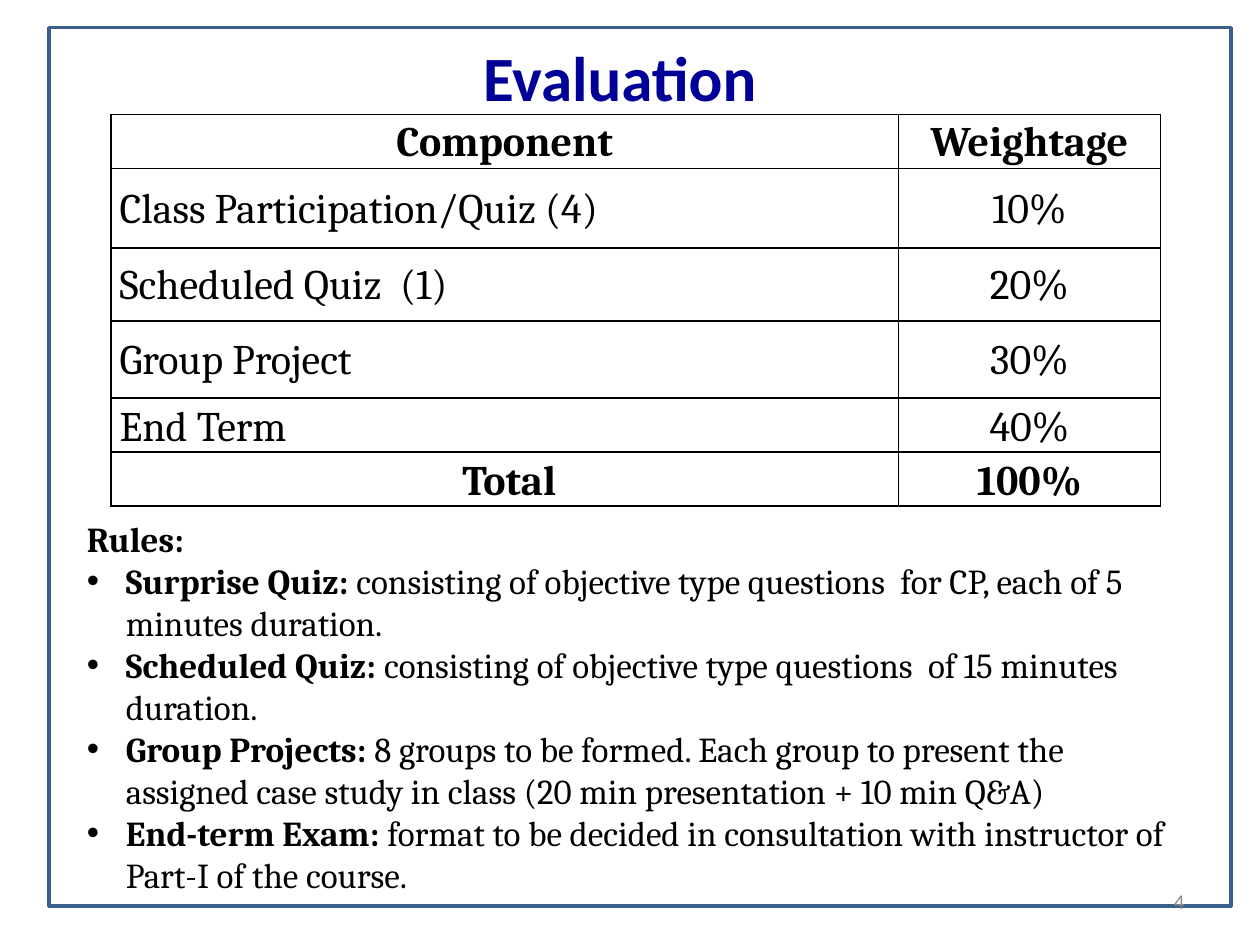
from pptx import Presentation
from pptx.dml.color import RGBColor as RGB
from pptx.enum.shapes import MSO_SHAPE as SHAPE
from pptx.enum.text import MSO_ANCHOR as ANCHOR, MSO_AUTO_SIZE as AUTO, PP_ALIGN as ALIGN
from pptx.oxml.ns import qn
from pptx.util import Inches, Pt
from lxml.etree import SubElement

COLORS = {"frame": "3A5F8C", "title": "000099", "text": "000000", "number": "8C8C8C"}
HEADING, BODY = "Calibri", "Cambria"
COLUMNS = [6.25, 2.08]
ROWS = [
    (0.41, ANCHOR.MIDDLE, "Component", "Weightage"),
    (0.63, ANCHOR.MIDDLE, "Class Participation/Quiz (4)", "10%"),
    (0.58, ANCHOR.MIDDLE, "Scheduled Quiz  (1)", "20%"),
    (0.61, ANCHOR.MIDDLE, "Group Project", "30%"),
    (0.41, ANCHOR.BOTTOM, "End Term", "40%"),
    (0.41, ANCHOR.BOTTOM, "\u00a0Total".replace("\u00a0", " "), "100%"),
]
RULES = [
    ("Surprise Quiz: ", "consisting of objective type questions  for CP, each of 5 minutes duration."),
    ("Scheduled Quiz: ", "consisting of objective type questions  of 15 minutes duration."),
    ("Group Projects: ", "8 groups to be formed. Each group to present the assigned case study "
     "in class (20 min presentation + 10 min Q&A)"),
    ("End-term Exam: ", "format to be decided in consultation with instructor of Part-I of the course."),
]


class SlideBuilder:
    """Holds the style and the current slide, and adds each kind of element."""

    def __init__(self, slide, colors):
        self.s = slide
        self.colors = colors

    def color(self, name):
        return RGB.from_string(self.colors[name])

    def run(self, p, text, size, font=BODY, color="text", bold=False):
        r = p.add_run()
        r.text = text
        for key, value in {"size": Pt(size), "name": font, "bold": bold}.items():
            setattr(r.font, key, value)
        r.font.color.rgb = self.color(color)

    def frame(self, box, color, width):
        sp = self.s.shapes.add_shape(SHAPE.RECTANGLE, *map(Inches, box))
        sp.shadow.inherit = False
        sp.fill.background()
        sp.line.color.rgb = self.color(color)
        sp.line.width = Pt(width)

    def text_box(self, box, **fmt):
        tf = self.s.shapes.add_textbox(*map(Inches, box)).text_frame
        for key, value in {"word_wrap": True, **fmt}.items():
            setattr(tf, key, value)
        return tf

    def label(self, box, text, align, **style):
        p = self.text_box(box, vertical_anchor=ANCHOR.MIDDLE).paragraphs[0]
        p.alignment = align
        self.run(p, text, **style)

    def rules(self, box, heading, rules, size):
        tf = self.text_box(box, auto_size=AUTO.SHAPE_TO_FIT_TEXT)
        self.run(tf.paragraphs[0], heading, size, bold=True)
        for name, detail in rules:
            p = tf.add_paragraph()
            self.bullet(p, 0.31)
            self.run(p, name, size, bold=True)
            self.run(p, detail, size)

    def bullet(self, p, indent):
        pPr = p._p.get_or_add_pPr()
        pPr.set("marL", str(Inches(indent)))
        pPr.set("indent", str(-Inches(indent)))
        SubElement(pPr, qn("a:buFont"), typeface="Arial")
        SubElement(pPr, qn("a:buChar"), char="•")

    def borders(self, cell, color, width):
        tcPr = cell._tc.get_or_add_tcPr()
        for i, side in enumerate(("lnL", "lnR", "lnT", "lnB")):
            ln = tcPr.makeelement(qn(f"a:{side}"), {"w": str(Pt(width))})
            fill = SubElement(ln, qn("a:solidFill"))
            SubElement(fill, qn("a:srgbClr"), val=self.colors[color])
            tcPr.insert(i, ln)

    def table(self, left, top, columns, rows, size):
        box = (left, top, sum(columns), sum(row[0] for row in rows))
        table = self.s.shapes.add_table(len(rows), len(columns), *map(Inches, box)).table
        for col, width in zip(table.columns, columns):
            col.width = Inches(width)
        for i, (height, anchor, *texts) in enumerate(rows):
            table.rows[i].height = Inches(height)
            strong = i in (0, len(rows) - 1)
            for j, text in enumerate(texts):
                align = ALIGN.CENTER if strong or j else ALIGN.LEFT
                self.cell(table.cell(i, j), text, size, anchor, align, strong)

    def cell(self, cell, text, size, anchor, align, bold):
        side = Inches(0.07)
        fmt = {"margin_left": side, "margin_right": side, "margin_top": 0,
               "margin_bottom": 0, "vertical_anchor": anchor}
        for key, value in fmt.items():
            setattr(cell, key, value)
        cell.fill.background()
        self.borders(cell, "text", 1)
        p = cell.text_frame.paragraphs[0]
        p.alignment = align
        p.line_spacing = 1.07
        self.run(p, text, size, bold=bold)


def main():
    prs = Presentation()
    prs.slide_width, prs.slide_height = Inches(10), Inches(7.5)
    b = SlideBuilder(prs.slides.add_slide(prs.slide_layouts[6]), COLORS)
    b.frame((0.39, 0.22, 9.38, 6.97), "frame", 2)
    b.label((0.42, 0.18, 9, 0.85), "Evaluation", ALIGN.CENTER,
            size=36, font=HEADING, color="title", bold=True)
    b.label((7.17, 6.95, 2.33, 0.4), "4", ALIGN.RIGHT, size=12, font=HEADING, color="number")
    b.table(0.88, 0.91, COLUMNS, ROWS, 24)
    b.rules((0.59, 4.06, 8.91, 3.13), "Rules:", RULES, 20)
    prs.save("out.pptx")


if __name__ == "__main__":
    main()
